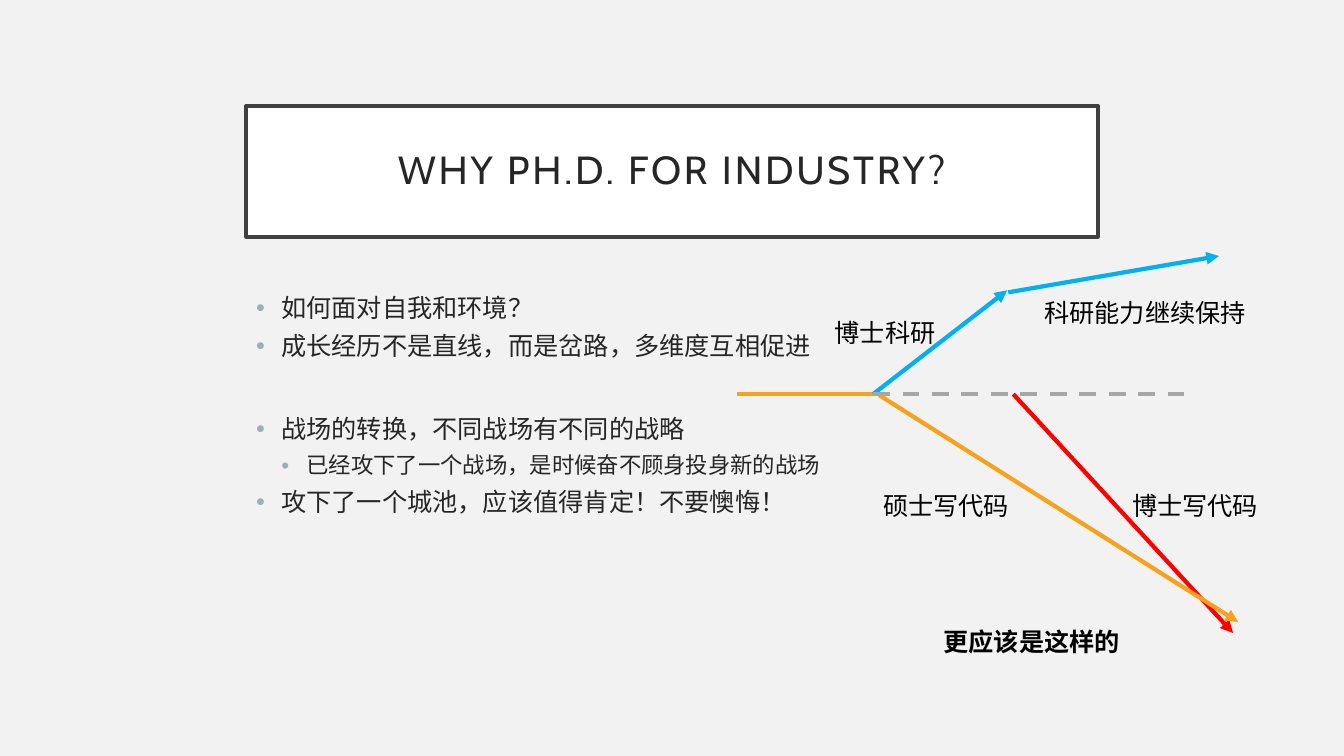
from lxml import etree
from pptx import Presentation, util as u
from pptx.dml.color import RGBColor
from pptx.enum import dml, shapes, text
from pptx.oxml import ns

COLORS = {
    "background": "F2F2F2", "white": "FFFFFF", "frame": "404040",
    "body": "262626", "label": "000000", "bullet": "9BAFB5",
    "orange": "F6A21D", "blue": "00B0F0", "red": "FF0000", "gray": "A6A6A6",
}
LATIN, CHINESE = "Cabin", "Noto Sans CJK SC"


def color(name):
    return RGBColor.from_string(COLORS[name])


def write(para, words, size=18, font=LATIN, ink="label", bold=False, spacing=0):
    span = para.add_run()
    span.text = words
    span.font.size = u.Pt(size)
    span.font.name = font
    span.font.bold = bold
    span.font.color.rgb = color(ink)
    props = span.font._element
    etree.SubElement(props, ns.qn("a:ea")).set("typeface", font)
    if spacing:
        props.set("spc", str(spacing * 100))


deck = Presentation()
deck.slide_width, deck.slide_height = u.Inches(13.33), u.Inches(7.5)
page = deck.slides.add_slide(deck.slide_layouts[1])
page.background.fill.solid()
page.background.fill.fore_color.rgb = color("background")

# Framed title
title = page.shapes.title
title.left, title.top = u.Inches(2.44), u.Inches(1.05)
title.width, title.height = u.Inches(8.45), u.Inches(1.3)
title.fill.solid()
title.fill.fore_color.rgb = color("white")
title.line.color.rgb = color("frame")
title.line.width = u.Pt(2.5)
frame = title.text_frame
frame.auto_size = text.MSO_AUTO_SIZE.NONE
frame.vertical_anchor = text.MSO_ANCHOR.MIDDLE
frame.margin_left = frame.margin_right = u.Inches(0.2)
frame.margin_top = frame.margin_bottom = u.Inches(0.2)
para = frame.paragraphs[0]
para.alignment = text.PP_ALIGN.CENTER
para.line_spacing = 0.9
write(para, "WHY PH.D. FOR INDUSTRY?", size=28, ink="body", spacing=2)

# Bullet list: level, space before in points, words
bullets = [
    (0, 0, "如何面对自我和环境？"),
    (0, 8, "成长经历不是直线，而是岔路，多维度互相促进"),
    (0, 39.5, "战场的转换，不同战场有不同的战略"),
    (1, 8, "已经攻下了一个战场，是时候奋不顾身投身新的战场"),
    (0, 8, "攻下了一个城池，应该值得肯定！不要懊悔！"),
]
body = page.placeholders[1]
body.left, body.top = u.Inches(2.44), u.Inches(2.88)
body.width, body.height = u.Inches(8.45), u.Inches(3.39)
frame = body.text_frame
frame.auto_size = text.MSO_AUTO_SIZE.NONE
for index, (level, gap, words) in enumerate(bullets):
    para = frame.add_paragraph() if index else frame.paragraphs[0]
    para.level = level
    para.line_spacing = 0.9
    para.space_before = u.Pt(gap)
    props = para._p.get_or_add_pPr()
    props.set("marL", str(u.Inches(0.25 * (level + 1))))
    props.set("indent", str(u.Inches(-0.25)))
    tint = etree.SubElement(props, ns.qn("a:buClr"))
    etree.SubElement(tint, ns.qn("a:srgbClr")).set("val", COLORS["bullet"])
    etree.SubElement(props, ns.qn("a:buFont")).set("typeface", "Arial")
    etree.SubElement(props, ns.qn("a:buChar")).set("char", "•")
    write(para, words, size=18 - 2 * level, font=CHINESE, ink="body")

# Branching paths: start, end, colour, arrowhead, dashed
paths = [
    ((7.31, 3.91), (8.66, 3.91), "orange", False, False),
    ((8.66, 3.91), (9.99, 2.88), "blue", True, False),
    ((10.05, 3.91), (12.23, 6.28), "red", True, False),
    ((8.72, 3.92), (12.28, 6.17), "orange", True, False),
    ((8.66, 3.91), (11.77, 3.91), "gray", False, True),
    ((10, 2.9), (12.09, 2.54), "blue", True, False),
]
for start, end, ink, arrow, dashed in paths:
    ends = [u.Inches(value) for value in start + end]
    line = page.shapes.add_connector(shapes.MSO_CONNECTOR.STRAIGHT, *ends)
    line.line.color.rgb = color(ink)
    line.line.width = u.Pt(3)
    if dashed:
        line.line.dash_style = dml.MSO_LINE.DASH
    if arrow:
        stroke = line.line._get_or_add_ln()
        etree.SubElement(stroke, ns.qn("a:tailEnd")).set("type", "triangle")
    etree.SubElement(line._element.spPr, ns.qn("a:effectLst"))

# Path labels: left, top, width, words, bold
labels = [
    (11.13, 4.82, 1.47, "博士写代码", False),
    (8.66, 4.82, 2.22, "硕士写代码", False),
    (8.18, 3.1, 1.24, "博士科研", False),
    (10.26, 2.9, 2.34, "科研能力继续保持", False),
    (9.26, 6.16, 1.97, "更应该是这样的", True),
]
for left, top, width, words, bold in labels:
    box = page.shapes.add_textbox(
        u.Inches(left), u.Inches(top), u.Inches(width), u.Inches(0.4))
    box.text_frame.word_wrap = not bold
    box.text_frame.auto_size = text.MSO_AUTO_SIZE.SHAPE_TO_FIT_TEXT
    write(box.text_frame.paragraphs[0], words, bold=bold)

deck.save("out.pptx")
